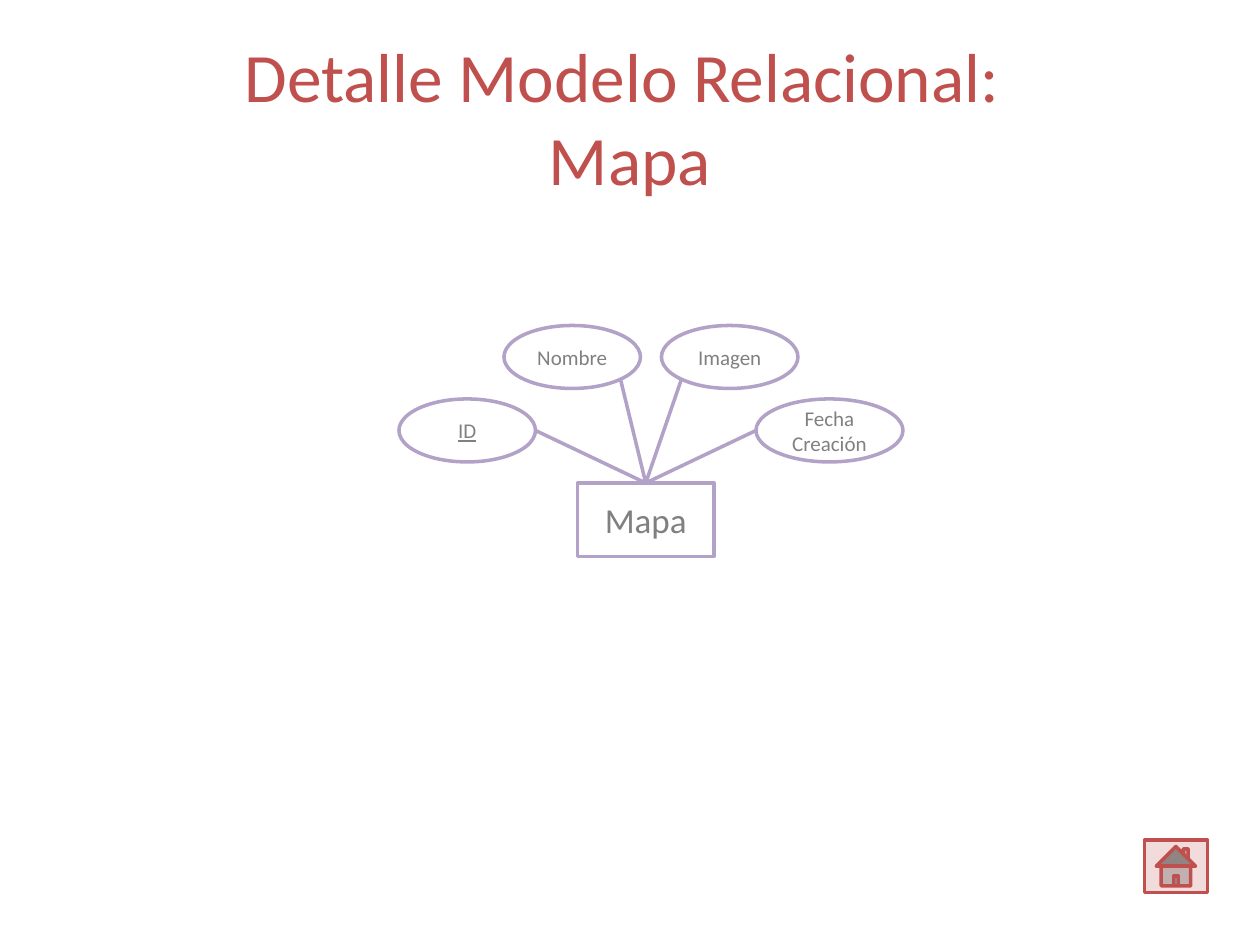
import math
import pptx
import pptx.util
import pptx.dml.color
import pptx.enum.shapes
import pptx.enum.text
import lxml.etree

Pt = pptx.util.Pt
Kind = pptx.enum.shapes.MSO_SHAPE
RED, PINK, LILAC, GRAY, WHITE = "C0504D", "F2DCDB", "B3A2C7", "808080", "FFFFFF"


def color(code):
    return pptx.dml.color.RGBColor.from_string(code)


class Sketch:
    font = "Calibri"
    weight = 2

    def __init__(self, slide):
        self.slide = slide

    def style(self, frame, size, code, under=None):
        frame.word_wrap = True
        frame.vertical_anchor = pptx.enum.text.MSO_ANCHOR.MIDDLE
        for para in frame.paragraphs:
            para.alignment = pptx.enum.text.PP_ALIGN.CENTER
            for run in para.runs:
                run.font.name = self.font
                run.font.size = Pt(size)
                run.font.color.rgb = color(code)
                run.font.underline = under

    def title(self, text, box, size, code):
        head = self.slide.shapes.title
        head.left, head.top, head.width, head.height = map(Pt, box)
        head.text_frame.text = text
        self.style(head.text_frame, size, code)

    def shape(self, kind, box, fill, edge, text="", size=12, under=None):
        item = self.slide.shapes.add_shape(kind, *map(Pt, box))
        item.shadow.inherit = False
        item.fill.solid()
        item.fill.fore_color.rgb = color(fill)
        item.line.color.rgb = color(edge)
        item.line.width = Pt(self.weight)
        if text:
            item.text_frame.text = text
            self.style(item.text_frame, size, GRAY, under)

    def line(self, start, end, code):
        link = self.slide.shapes.add_connector(
            pptx.enum.shapes.MSO_CONNECTOR.STRAIGHT, *map(Pt, start + end))
        link.line.color.rgb = color(code)
        link.line.width = Pt(self.weight)
        props = link._element.spPr
        lxml.etree.SubElement(props, pptx.oxml.ns.qn("a:effectLst"))


deck = pptx.Presentation()
deck.slide_width, deck.slide_height = Pt(720), Pt(540)
sketch = Sketch(deck.slides.add_slide(deck.slide_layouts[5]))

sketch.title("Detalle Modelo Relacional: \vMapa", (36, 21.6, 648, 90), 39.6, RED)
sketch.shape(Kind.ACTION_BUTTON_HOME, (654, 480, 36, 30), PINK, RED)

left, top, wide, high = 330, 276, 78, 42
sketch.shape(Kind.RECTANGLE, (left, top, wide, high), WHITE, LILAC, "Mapa", 20)
hub = (left + wide / 2, top)

tall = 36
fields = [
    ("Nombre", 288, 186, 78, 45, None),
    ("Imagen", 378, 186, 78, 135, None),
    ("ID", 228, 228, 78, 0, True),
    ("Fecha Creación", 432, 228, 84, 180, None),
]
for name, x, y, width, angle, under in fields:
    sketch.shape(Kind.OVAL, (x, y, width, tall), WHITE, LILAC, name, under=under)
    turn = math.radians(angle)
    edge = (x + width / 2 * (1 + math.cos(turn)), y + tall / 2 * (1 + math.sin(turn)))
    sketch.line(edge, hub, LILAC)

deck.save("out.pptx")
